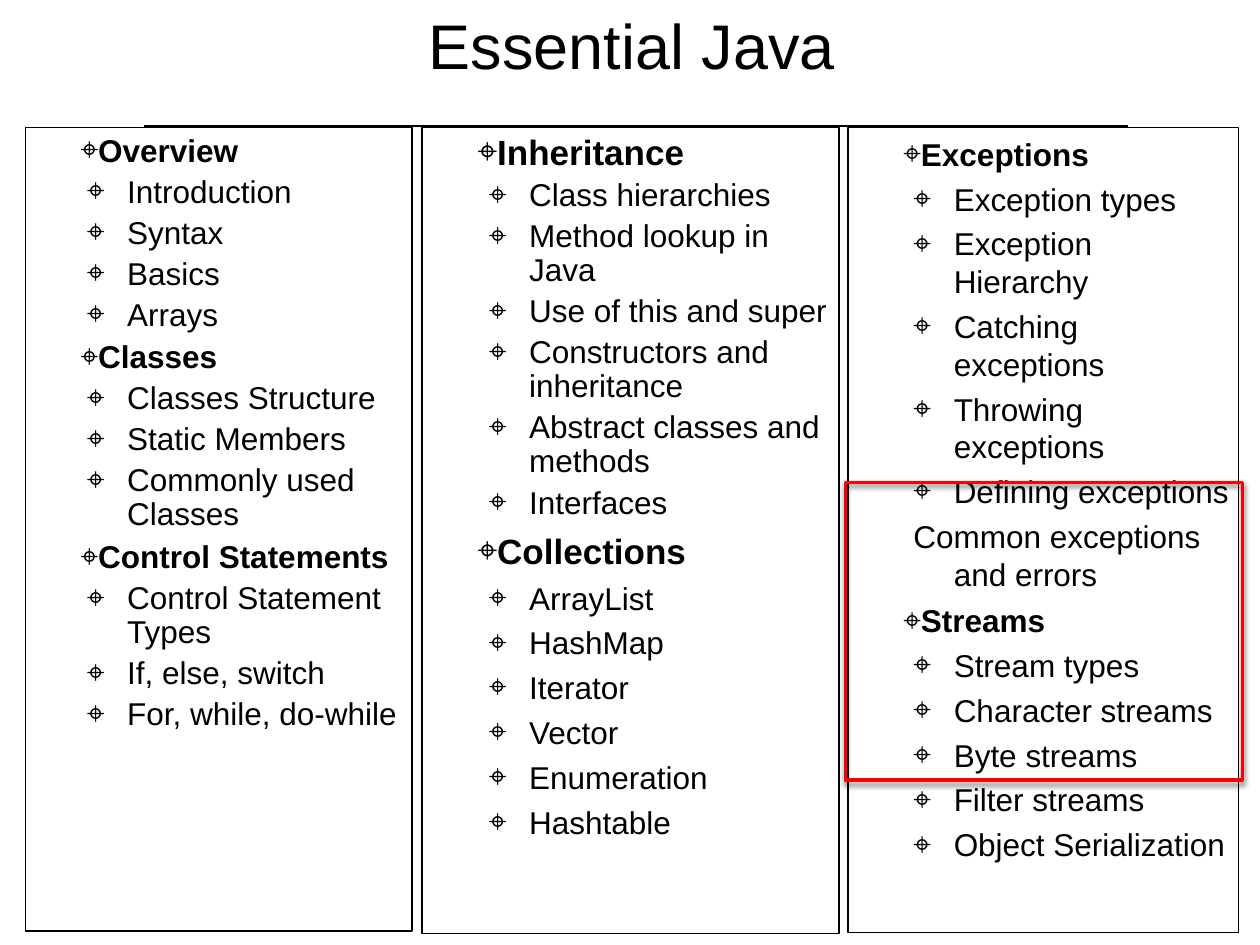
from lxml.etree import SubElement
from pptx import Presentation
from pptx.dml.color import RGBColor
from pptx.enum.shapes import MSO_CONNECTOR, MSO_SHAPE
from pptx.enum.text import MSO_ANCHOR, MSO_AUTO_SIZE, PP_ALIGN
from pptx.oxml.ns import qn
from pptx.util import Inches, Pt

BLACK = RGBColor(0x00, 0x00, 0x00)
RED = RGBColor(0xFF, 0x00, 0x00)
BULLET = "⌖"
UNBULLETED = {"Common exceptions and errors"}

# Each section: heading, heading size, line spacing, items
COLUMNS = [
    {"left": 0.2, "box": (3.07, 6.38), "text": (3.07, 5.86), "indent": 0.75, "sections": [
        ("Overview", 18, 0.9, ["Introduction", "Syntax", "Basics", "Arrays"]),
        ("Classes", 18, 0.9, ["Classes Structure", "Static Members", "Commonly used Classes"]),
        ("Control Statements", 18, 0.9,
         ["Control Statement Types", "If, else, switch", "For, while, do-while"]),
    ]},
    {"left": 3.35, "box": (3.31, 6.4), "text": (3.3, 6.49), "indent": 0.79, "sections": [
        ("Inheritance", 20, 0.9,
         ["Class hierarchies", "Method lookup in Java", "Use of this and super",
          "Constructors and inheritance", "Abstract classes and methods", "Interfaces"]),
        ("Collections", 20, 1.0,
         ["ArrayList", "HashMap", "Iterator", "Vector", "Enumeration", "Hashtable"]),
    ]},
    {"left": 6.73, "box": (3.1, 6.39), "text": (3.12, 7.01), "indent": 0.78, "sections": [
        ("Exceptions", 18, 1.0,
         ["Exception types", "Exception Hierarchy", "Catching exceptions",
          "Throwing exceptions", "Defining exceptions", "Common exceptions and errors"]),
        ("Streams", 18, 1.0,
         ["Stream types", "Character streams", "Byte streams", "Filter streams",
          "Object Serialization"]),
    ]},
]


def write(p, text, size=18, bold=False, align=PP_ALIGN.LEFT, level=0, margin=0, indent=0,
          spacing=1.0, before=0, bullet=None):
    p.alignment, p.level = align, level
    p.line_spacing, p.space_before, p.space_after = spacing, Pt(before), Pt(0)
    pPr = p._p.get_or_add_pPr()
    pPr.set("marL", str(Inches(margin)))
    pPr.set("indent", str(Inches(indent)))
    if bullet:
        color = SubElement(pPr, qn("a:buClr"))
        SubElement(color, qn("a:srgbClr"), val=str(BLACK))
        SubElement(pPr, qn("a:buChar"), char=bullet)
    else:
        SubElement(pPr, qn("a:buNone"))
    r = p.add_run()
    r.text = text
    r.font.name, r.font.size, r.font.bold = "Arial", Pt(size), bold
    r.font.color.rgb = BLACK


class SlideBuilder:
    """Holds the shared style and the current slide."""

    inset = Inches(0.06)
    thin = Pt(0.75)

    def __init__(self, slide):
        self.s = slide

    def frame(self, sp, left, top, width, height, anchor=MSO_ANCHOR.TOP):
        sp.left, sp.top = Inches(left), Inches(top)
        sp.width, sp.height = Inches(width), Inches(height)
        tf = sp.text_frame
        tf.auto_size, tf.word_wrap, tf.vertical_anchor = MSO_AUTO_SIZE.NONE, True, anchor
        tf.margin_left = tf.margin_right = tf.margin_top = tf.margin_bottom = self.inset
        return tf

    def title(self, text):
        tf = self.frame(self.s.shapes.title, 0.49, 0, 9.01, 0.71, MSO_ANCHOR.MIDDLE)
        write(tf.paragraphs[0], text, size=36, align=PP_ALIGN.CENTER, margin=0.04)

    def outline(self, left, top, width, height, color=BLACK, weight=thin):
        sp = self.s.shapes.add_shape(MSO_SHAPE.RECTANGLE, Inches(left), Inches(top),
                                     Inches(width), Inches(height))
        sp.shadow.inherit = False
        sp.fill.background()
        sp.line.color.rgb, sp.line.width = color, weight
        return sp

    def rule(self, x1, x2, y):
        line = self.s.shapes.add_connector(MSO_CONNECTOR.STRAIGHT, Inches(x1), Inches(y),
                                           Inches(x2), Inches(y))
        line.line.color.rgb, line.line.width = BLACK, self.thin
        SubElement(line._element.spPr, qn("a:effectLst"))

    def column(self, sp, left, box, text, indent, sections, top=1.01):
        self.outline(left, top, *box)
        tf = self.frame(sp, left, top, *text)
        p = tf.paragraphs[0]
        for heading, size, spacing, items in sections:
            if p.runs:
                p = tf.add_paragraph()
            write(p, heading, size=size, bold=True, level=1, indent=0.38,
                  spacing=spacing, before=5, bullet=BULLET)
            for item in items:
                write(tf.add_paragraph(), item, margin=indent, indent=-0.32, spacing=spacing,
                      before=4, bullet=None if item in UNBULLETED else BULLET)

    def highlight(self, left, top, width, height):
        sp = self.outline(left, top, width, height, RED, Pt(2))
        effects = sp._element.spPr.find(qn("a:effectLst"))
        shadow = SubElement(effects, qn("a:outerShdw"), blurRad=str(Pt(3)), dist=str(Pt(2)),
                            dir=str(90 * 60000), rotWithShape="0")
        color = SubElement(shadow, qn("a:srgbClr"), val=str(BLACK))
        SubElement(color, qn("a:alpha"), val="50000")


def main():
    prs = Presentation()
    prs.slide_width, prs.slide_height = Inches(10), Inches(7.5)
    s = prs.slides.add_slide(prs.slide_layouts.get_by_name("Comparison"))
    _, *bodies = s.placeholders
    builder = SlideBuilder(s)
    builder.title("Essential Java")
    builder.rule(1.14, 8.95, 1)
    for sp, column in zip(bodies, COLUMNS):
        builder.column(sp, **column)
    for sp in bodies[len(COLUMNS):]:
        sp._element.getparent().remove(sp._element)
    builder.highlight(6.71, 3.83, 3.15, 2.36)
    prs.save("out.pptx")


if __name__ == "__main__":
    main()
